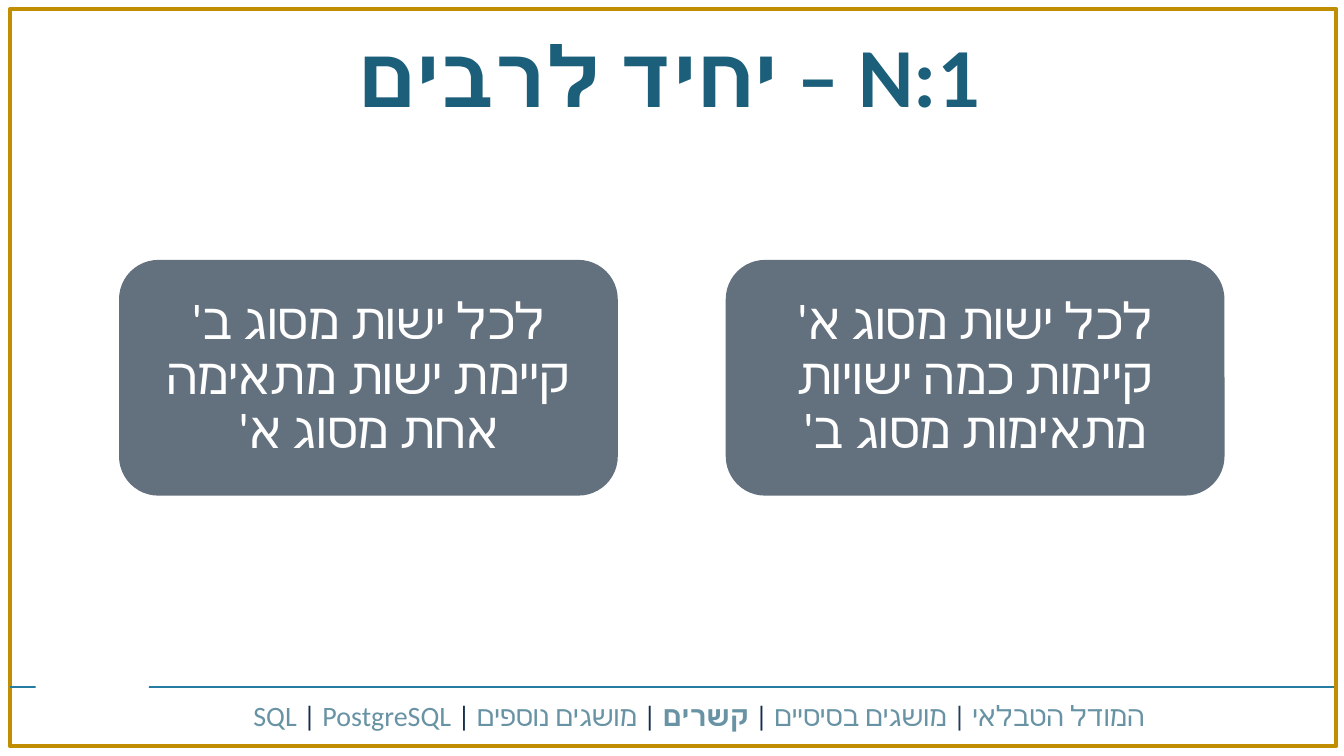
from lxml import etree
from pptx import Presentation
from pptx.dml.color import RGBColor
from pptx.enum.shapes import MSO_CONNECTOR, MSO_SHAPE
from pptx.enum.text import MSO_ANCHOR, MSO_AUTO_SIZE, PP_ALIGN
from pptx.oxml.ns import qn
from pptx.util import Cm, Pt

RECT, OVAL, ROUNDED = MSO_SHAPE.RECTANGLE, MSO_SHAPE.OVAL, MSO_SHAPE.ROUNDED_RECTANGLE
STRAIGHT = MSO_CONNECTOR.STRAIGHT
TOP, MIDDLE = MSO_ANCHOR.TOP, MSO_ANCHOR.MIDDLE
CENTER, NO_FIT = PP_ALIGN.CENTER, MSO_AUTO_SIZE.NONE

WHITE, GOLD, TEAL = "FFFFFF", "C08E00", "247DA0"
TITLE_BLUE, SLATE = "1C5F7A", "63707E"
TOPIC_BLUE, NAVY, FIRST_BAR = "6893A4", "142D4C", "253B59"


def rgb(value):
    return RGBColor.from_string(value)


class HebrewSlide:
    font_name = "Calibri"

    def __init__(self, slide):
        self.slide = slide
        self.shapes = slide.shapes

    def shape(self, kind, box, fill, line=None, width=0):
        shape = self.shapes.add_shape(kind, *map(Cm, box))
        shape.shadow.inherit = False
        shape.fill.solid()
        shape.fill.fore_color.rgb = rgb(fill)
        if line:
            shape.line.color.rgb = rgb(line)
            shape.line.width = Pt(width)
        else:
            shape.line.fill.background()
        return shape

    def line(self, ends, color, width):
        rule = self.shapes.add_connector(STRAIGHT, *map(Cm, ends))
        rule.line.color.rgb = rgb(color)
        rule.line.width = Pt(width)
        etree.SubElement(rule._element.spPr, qn("a:effectLst"))

    def fill_text(self, shape, pieces, size, anchor=MIDDLE):
        """Fill a shape with one right-to-left paragraph of (text, color, bold) pieces."""
        frame = shape.text_frame
        frame.word_wrap = True
        frame.auto_size = NO_FIT
        frame.vertical_anchor = anchor
        paragraph = frame.paragraphs[0]
        paragraph.alignment = CENTER
        paragraph.line_spacing = 0.9
        paragraph.space_before = Pt(0)
        paragraph._p.get_or_add_pPr().set("rtl", "1")
        for text, color, bold in pieces:
            run = paragraph.add_run()
            run.text = text
            run.font.size = Pt(size)
            run.font.bold = bold
            run.font.color.rgb = rgb(color)
            run.font.name = self.font_name
            script = etree.SubElement(run._r.get_or_add_rPr(), qn("a:cs"))
            script.set("typeface", self.font_name)

    def title(self, text, box):
        title = self.shapes.title
        title.left, title.top, title.width, title.height = map(Cm, box)
        self.fill_text(title, [(text, TITLE_BLUE, True)], 60, TOP)
        # Bring the title in front of the page frame
        self.shapes._spTree.append(title._element)

    def text(self, box, pieces, size):
        self.fill_text(self.shapes.add_textbox(*map(Cm, box)), pieces, size)

    def card(self, box, text):
        self.fill_text(self.shape(ROUNDED, box, SLATE), [(text, WHITE, False)], 36)


def main():
    deck = Presentation()
    deck.slide_width, deck.slide_height = Cm(33.87), Cm(19.05)
    page = HebrewSlide(deck.slides.add_slide(deck.slide_layouts[5]))

    # Page frame and footer rule with its round gap
    page.shape(RECT, (0.25, 0.23, 33.43, 18.57), WHITE, GOLD, 3)
    page.line((0.25, 17.32, 33.63, 17.32), TEAL, 1.5)
    page.shape(OVAL, (0.89, 15.72, 2.87, 2.87), WHITE)

    # Title
    page.title("N:1 – יחיד לרבים", (2.26, 0.76, 29.21, 3.18))

    # Course topics, the current one in bold
    topics = [
        ("המודל הטבלאי ", TOPIC_BLUE, False),
        ("|", FIRST_BAR, False),
        (" מושגים בסיסיים ", TOPIC_BLUE, False),
        ("| ", NAVY, False),
        ("קשרים ", TOPIC_BLUE, True),
        ("|", NAVY, False),
        (" מושגים נוספים ", TOPIC_BLUE, False),
        ("| ", NAVY, False),
        ("SQL ", TOPIC_BLUE, False),
        ("| ", NAVY, False),
        ("PostgreSQL", TOPIC_BLUE, False),
    ]
    page.text((3.76, 17.58, 27.71, 1.02), topics, 20)

    # The two sides of the relation, from right to left
    sides = [
        "לכל ישות מסוג א' קיימות כמה ישויות מתאימות מסוג ב'",
        "לכל ישות מסוג ב' קיימת ישות מתאימה אחת מסוג א'",
    ]
    for index, side in enumerate(sides):
        page.card((18.29 - index * 15.29, 6.55, 12.57, 5.94), side)

    deck.save("out.pptx")


if __name__ == "__main__":
    main()
